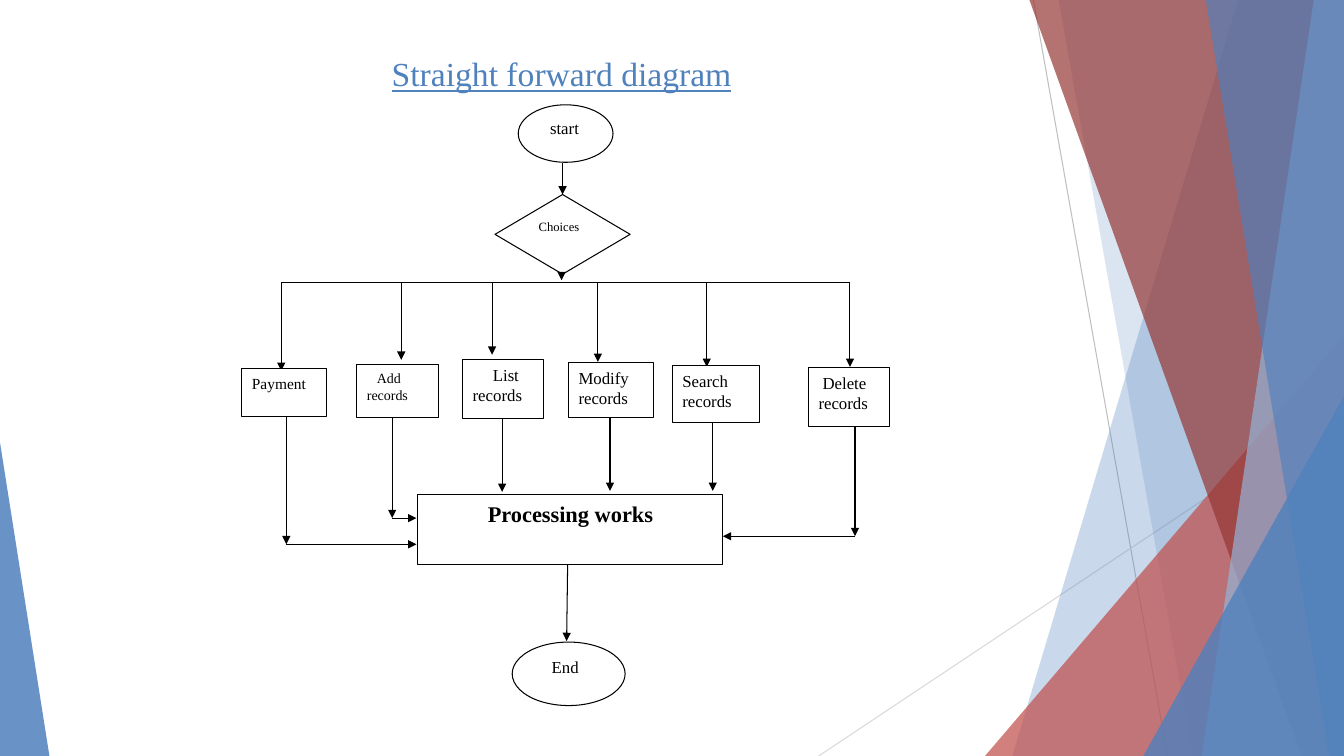
from lxml import etree
from pptx import Presentation
from pptx.dml.color import RGBColor
from pptx.enum.shapes import MSO_CONNECTOR, MSO_SHAPE
from pptx.enum.text import MSO_ANCHOR, PP_ALIGN
from pptx.oxml.ns import qn
from pptx.util import Inches, Pt

LINE = MSO_CONNECTOR.STRAIGHT
RECT = MSO_SHAPE.RECTANGLE
OVAL = MSO_SHAPE.OVAL
GEM = MSO_SHAPE.DIAMOND
WEDGE = MSO_SHAPE.ISOSCELES_TRIANGLE
TOP = MSO_ANCHOR.TOP
LEFT, MID = PP_ALIGN.LEFT, PP_ALIGN.CENTER
WIDE, HIGH = 13.33, 7.5
COLORS = {
    "black": "000000", "white": "FFFFFF", "blue": "4F81BD", "sky": "95B3D7",
    "red": "C0504D", "wine": "953735", "gray": "BFBFBF", "pale": "D9D9D9",
}


class Canvas:
    def __init__(self, slide, font="Times New Roman", weight=0.75):
        self.slide, self.font, self.weight = slide, font, weight

    def color(self, name):
        return RGBColor.from_string(COLORS[name])

    def label(self, frame, text, size, name="black", align=LEFT, indent=0):
        frame.word_wrap = True
        frame.vertical_anchor = TOP
        frame.text = text
        para = frame.paragraphs[0]
        para.alignment = align
        para._p.get_or_add_pPr().set("indent", str(Inches(indent)))
        font = para.runs[0].font
        font.name, font.size = self.font, Pt(size)
        font.color.rgb = self.color(name)
        return font

    def title(self, text, left, top, width, height):
        box = self.slide.shapes.add_textbox(
            Inches(left), Inches(top), Inches(width), Inches(height))
        self.label(box.text_frame, text, 24, "blue", MID).underline = True

    def node(self, kind, left, top, width, height, text, size=12, indent=0):
        shape = self.slide.shapes.add_shape(
            kind, Inches(left), Inches(top), Inches(width), Inches(height))
        shape.shadow.inherit = False
        shape.fill.solid()
        shape.fill.fore_color.rgb = self.color("white")
        shape.line.color.rgb = self.color("black")
        shape.line.width = Pt(self.weight)
        return self.label(shape.text_frame, text, size, indent=indent)

    def line(self, x1, y1, x2, y2, name="black", head=False):
        link = self.slide.shapes.add_connector(
            LINE, Inches(x1), Inches(y1), Inches(x2), Inches(y2))
        link.line.color.rgb = self.color(name)
        link.line.width = Pt(self.weight)
        props = link._element.spPr
        if head:
            tail = etree.SubElement(props.find(qn("a:ln")), qn("a:tailEnd"))
            tail.set("type", "triangle")
        etree.SubElement(props, qn("a:effectLst"))

    def arrow(self, x1, y1, x2, y2):
        self.line(x1, y1, x2, y2, head=True)

    def tint(self, shape, name, alpha):
        shape.shadow.inherit = False
        shape.line.fill.background()
        shape.fill.solid()
        shape.fill.fore_color.rgb = self.color(name)
        tone = shape._element.spPr.find(qn("a:solidFill"))[0]
        etree.SubElement(tone, qn("a:alpha")).set("val", str(alpha * 1000))

    def band(self, top, base, name, alpha):
        edge = self.slide.shapes.build_freeform(Inches(top), 0)
        edge.add_line_segments([
            (Inches(WIDE), 0), (Inches(WIDE), Inches(HIGH)),
            (Inches(base), Inches(HIGH))])
        self.tint(edge.convert_to_shape(), name, alpha)

    def wedge(self, left, top, width, peak, name, alpha):
        shape = self.slide.shapes.add_shape(
            WEDGE, Inches(left), Inches(top), Inches(width), Inches(HIGH - top))
        shape.adjustments[0] = peak
        self.tint(shape, name, alpha)


deck = Presentation()
deck.slide_width, deck.slide_height = Inches(WIDE), Inches(HIGH)
art = Canvas(deck.slides.add_slide(deck.slide_layouts[6]))

art.line(10.25, 0, 11.58, HIGH, "gray")
art.line(WIDE, 4.03, 8.12, HIGH, "pale")
art.band(12.28, 10.04, "blue", 30)
art.band(10.5, 11.83, "blue", 20)
art.wedge(9.77, 3.33, 3.56, 1, "red", 72)
art.band(10.21, 12.91, "wine", 70)
art.band(13.03, 11.92, "sky", 70)
art.band(11.96, 13.18, "blue", 65)
art.wedge(11.34, 3.93, 1.99, 1, "blue", 80)
art.wedge(0, 4.39, 0.49, 0, "blue", 85)

art.title("Straight forward diagram", 0.87, 0.48, 9.4, 1.44)
art.node(OVAL, 5.14, 1.04, 0.94, 0.57, "start", indent=0.08)

rail = 2.8
art.line(8.43, rail, 2.79, rail)
for x, tip in [(2.79, 3.68), (3.98, 3.57), (4.88, 3.52),
               (5.93, 3.59), (7.01, 3.64), (8.43, 3.64)]:
    art.arrow(x, rail, x, tip)

tasks = [
    (2.4, 3.66, 0.84, 0.47, "Payment", 11, 0),
    (3.54, 3.62, 0.81, 0.52, "Add records", 10, 0.1),
    (4.59, 3.57, 0.8, 0.58, "List records", 12, 0.2),
    (5.64, 3.6, 0.84, 0.54, "Modify records", 12, 0),
    (6.67, 3.63, 0.86, 0.56, "Search records", 12, 0),
    (8.02, 3.65, 0.8, 0.58, "Delete records", 12, 0.04),
]
drops = [(2.84, 5.4), (3.89, 5.14), (4.98, 4.88),
         (6.05, 4.87), (7.07, 4.87), (8.48, 5.32)]
for task, (x, tip) in zip(tasks, drops):
    art.node(RECT, *task)
    art.arrow(x, task[1] + task[3], x, tip)

art.node(GEM, 4.91, 1.93, 1.34, 0.79, "Choices", 9)
art.arrow(5.57, 2.72, 5.57, 2.78)
art.arrow(5.58, 1.62, 5.58, 1.93)
art.node(RECT, 4.14, 4.91, 3.03, 0.69, "Processing works", 16, 0.6).bold = True
for (x, y), side in [(drops[0], 4.13), (drops[1], 4.13), (drops[-1], 7.17)]:
    art.arrow(x, y, side, y)
art.node(OVAL, 5.08, 6.37, 1.12, 0.63, "End", indent=0.13)
art.arrow(5.63, 5.6, 5.62, 6.36)

deck.save("out.pptx")
